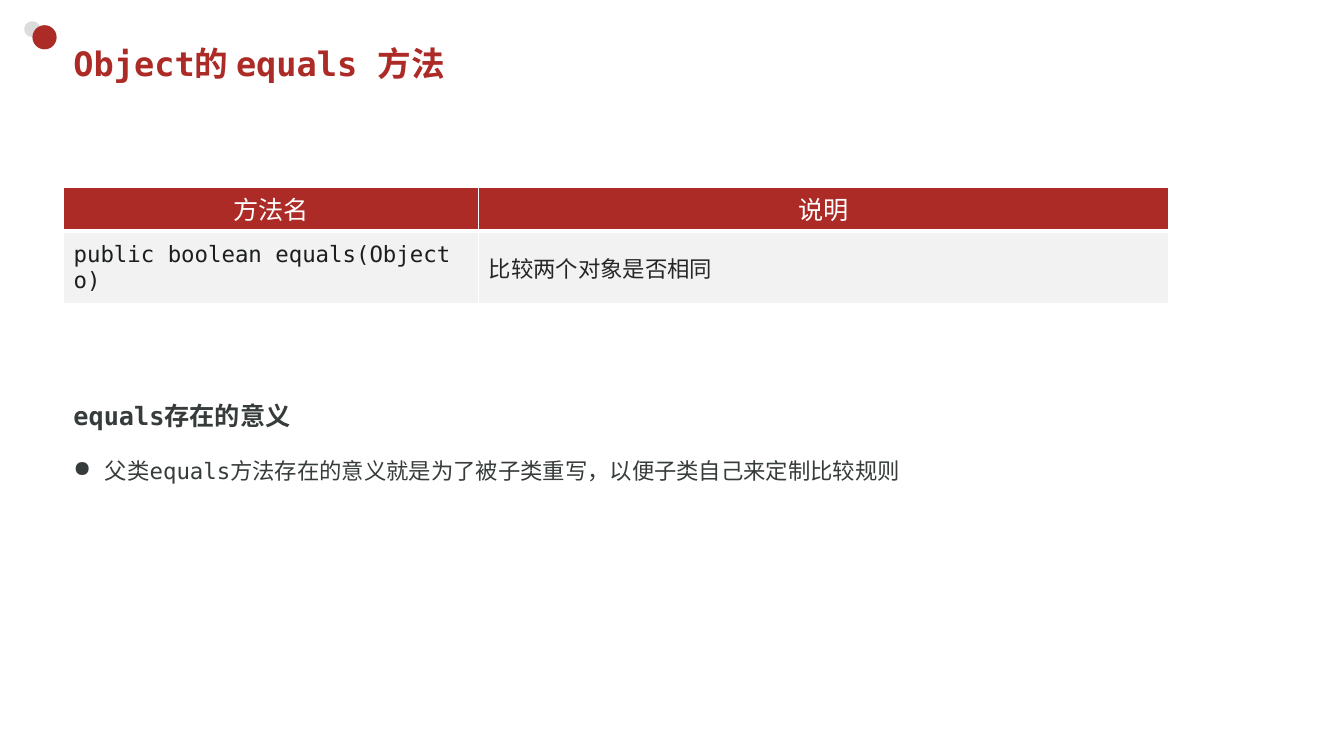
from lxml import etree
from pptx import Presentation
from pptx import util as u
from pptx.dml.color import RGBColor
from pptx.enum import shapes, text
from pptx.oxml import ns

RED = RGBColor(0xAD, 0x2B, 0x26)
SILVER = RGBColor(0xDA, 0xDD, 0xDC)
SLATE = RGBColor(0x36, 0x3C, 0x3B)
CODE_INK = RGBColor(0x1B, 0x1E, 0x1D)
NOTE_INK = RGBColor(0x26, 0x26, 0x26)
PALE = RGBColor(0xF2, 0xF2, 0xF2)
WHITE = RGBColor(0xFF, 0xFF, 0xFF)


class SlideBuilder:
    def __init__(self, slide, font_name):
        self.slide = slide
        self.font_name = font_name

    def add_words(self, para, words, color, font, layout=None):
        """Put one run in a paragraph, with its font and paragraph values."""
        for name, value in (layout or {}).items():
            setattr(para, name, value)
        span = para.add_run()
        span.text = words
        for name, value in {"name": self.font_name, **font}.items():
            setattr(span.font, name, value)
        span.font.color.rgb = color

    def dot(self, left, top, size, color):
        dot = self.slide.shapes.add_shape(
            shapes.MSO_SHAPE.OVAL, u.Pt(left), u.Pt(top), u.Pt(size), u.Pt(size))
        dot.shadow.inherit = False
        dot.fill.solid()
        dot.fill.fore_color.rgb = color
        dot.line.fill.background()

    def text_box(self, left, top, width, height, **frame_values):
        box = self.slide.shapes.add_textbox(
            u.Pt(left), u.Pt(top), u.Pt(width), u.Pt(height))
        for name, value in {"word_wrap": True, **frame_values}.items():
            setattr(box.text_frame, name, value)
        return box.text_frame

    def bullet(self, para, char, indent):
        props = para._p.get_or_add_pPr()
        props.set("marL", str(u.Pt(indent)))
        props.set("indent", str(-u.Pt(indent)))
        etree.SubElement(props, ns.qn("a:buChar"), char=char)

    def border(self, cell, side, width):
        line = etree.SubElement(
            cell._tc.get_or_add_tcPr(), ns.qn(f"a:ln{side}"), w=str(u.Pt(width)))
        fill = etree.SubElement(line, ns.qn("a:solidFill"))
        etree.SubElement(fill, ns.qn("a:srgbClr"), val=str(WHITE))

    def table(self, left, top, widths, heights):
        table = self.slide.shapes.add_table(
            len(heights), len(widths), u.Pt(left), u.Pt(top),
            u.Pt(sum(widths)), u.Pt(sum(heights))).table
        for column, width in zip(table.columns, widths):
            column.width = u.Pt(width)
        for row, height in zip(table.rows, heights):
            row.height = u.Pt(height)
        return table

    def cell(self, cell, words, fill, color, font, layout, borders):
        for side, width in borders.items():
            self.border(cell, side, width)
        cell.fill.solid()
        cell.fill.fore_color.rgb = fill
        cell.vertical_anchor = text.MSO_ANCHOR.MIDDLE
        self.add_words(cell.text_frame.paragraphs[0], words, color, font, layout)


def main():
    deck = Presentation()
    deck.slide_width, deck.slide_height = u.Pt(960), u.Pt(540)
    page = SlideBuilder(deck.slides.add_slide(deck.slide_layouts[6]), "DejaVu Sans Mono")

    page.dot(17.3, 15.1, 11.5, SILVER)
    page.dot(23.2, 18, 17.3, RED)

    title = page.text_box(45.4, 26.6, 845.3, 37.4, vertical_anchor=text.MSO_ANCHOR.MIDDLE)
    page.add_words(title.paragraphs[0], "Object的 equals 方法", RED,
                   {"size": u.Pt(24), "bold": True})

    table = page.table(45.4, 134, [296.6, 492.5], [31.2, 51.6])
    header_font = {"size": u.Pt(18), "bold": False}
    header_layout = {"alignment": text.PP_ALIGN.CENTER, "line_spacing": u.Pt(24)}
    header_borders = {"L": 1, "R": 1, "T": 1, "B": 3}
    for column, words in enumerate(["方法名", "说明"]):
        page.cell(table.cell(0, column), words, RED, WHITE,
                  header_font, header_layout, header_borders)
    body_font = {"size": u.Pt(16), "bold": False}
    body_borders = {"L": 1, "R": 1, "T": 3, "B": 1}
    body = [("public boolean equals(Object o)", CODE_INK), ("比较两个对象是否相同", NOTE_INK)]
    for column, (words, color) in enumerate(body):
        page.cell(table.cell(1, column), words, PALE, color, body_font, {}, body_borders)

    meaning = page.text_box(45.4, 260.6, 722.2, 84.2,
                            auto_size=text.MSO_AUTO_SIZE.SHAPE_TO_FIT_TEXT)
    double = {"line_spacing": 2.0}
    page.add_words(meaning.paragraphs[0], "equals存在的意义", SLATE,
                   {"size": u.Pt(18), "bold": True}, double)
    reason = meaning.add_paragraph()
    page.bullet(reason, "●", 22.5)
    page.add_words(reason, "父类equals方法存在的意义就是为了被子类重写，以便子类自己来定制比较规则",
                   SLATE, body_font, double)

    deck.save("out.pptx")


if __name__ == "__main__":
    main()
